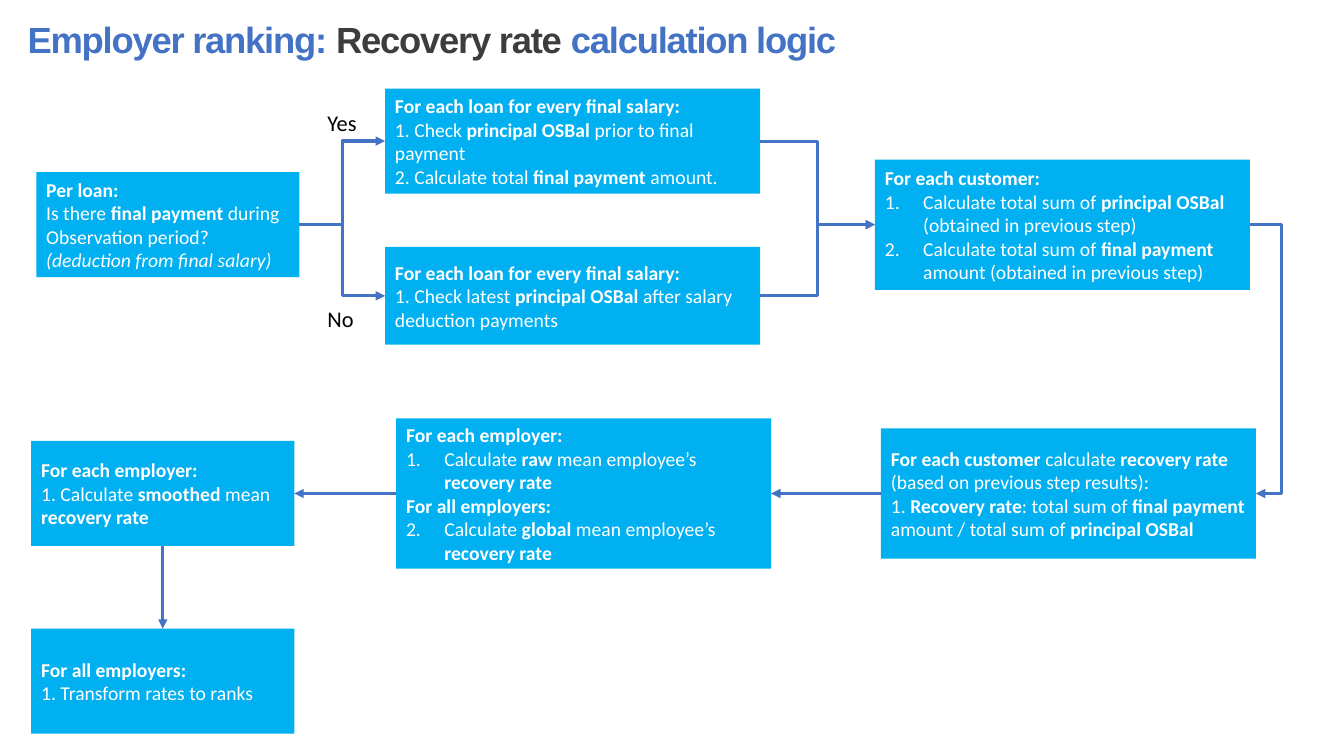
from dataclasses import dataclass

from lxml import etree
from pptx import Presentation
from pptx.dml.color import RGBColor
from pptx.enum.shapes import MSO_CONNECTOR, MSO_SHAPE
from pptx.enum.text import MSO_ANCHOR, PP_ALIGN
from pptx.oxml.ns import qn
from pptx.shapes.autoshape import Shape
from pptx.slide import Slide
from pptx.text.text import TextFrame, _Paragraph
from pptx.util import Inches, Pt

STRAIGHT = MSO_CONNECTOR.STRAIGHT
ELBOW = MSO_CONNECTOR.ELBOW
RECTANGLE = MSO_SHAPE.RECTANGLE
MIDDLE = MSO_ANCHOR.MIDDLE
TOP = MSO_ANCHOR.TOP
LEFT = PP_ALIGN.LEFT

BLUE = RGBColor(0x44, 0x72, 0xC4)
CYAN = RGBColor(0x00, 0xB0, 0xF0)
CHARCOAL = RGBColor(0x3D, 0x3D, 0x3D)
WHITE = RGBColor(0xFF, 0xFF, 0xFF)
BLACK = RGBColor(0x00, 0x00, 0x00)

SLIDE_WIDTH = Inches(13.333)
SLIDE_HEIGHT = Inches(7.5)
COLUMN = SLIDE_WIDTH / 160
ROW = SLIDE_HEIGHT / 90

TOP_SIDE, LEFT_SIDE, BOTTOM_SIDE, RIGHT_SIDE = range(4)
WIDE, NARROW = 44.64, 31.32
YES_ROW, FIRST_ROW, NO_ROW, SECOND_ROW, LAST_ROW = 16.8, 26.75, 35.22, 58.75, 81.1
LIST_INDENT = Inches(0.38)


@dataclass(frozen=True)
class Line:
    text: str
    number: int = 0
    italic: bool = False


@dataclass(frozen=True)
class Step:
    name: str
    left: float
    middle: float
    width: float
    height: float
    lines: tuple[Line, ...]


@dataclass(frozen=True)
class Arrow:
    source: str
    source_side: int
    target: str
    target_side: int
    kind: MSO_CONNECTOR = STRAIGHT
    bend: float = 0.5


@dataclass(frozen=True)
class Label:
    text: str
    top: float


STEPS = (
    Step("loan", 4.32, FIRST_ROW, NARROW, 12.5, (
        Line("*Per loan:*"),
        Line("Is there *final payment *during Observation period?"),
        Line("(deduction from final salary)", italic=True),
    )),
    Step("yes", 45.84, YES_ROW, WIDE, 12.5, (
        Line("*For each loan for every final salary:*\n"
             "1. Check *principal OSBal *prior to final payment"),
        Line("2. Calculate total *final payment *amount."),
    )),
    Step("no", 45.84, NO_ROW, WIDE, 11.64, (
        Line("*For each loan for every final salary:*\n"
             "1. Check latest *principal OSBal *after salary deduction payments"),
    )),
    Step("customer", 104.16, FIRST_ROW, WIDE, 15.5, (
        Line("*For each customer:*"),
        Line("Calculate total sum of *principal OSBal *(obtained in previous step)", 1),
        Line("Calculate total sum of *final payment* amount (obtained in previous step)", 1),
    )),
    Step("rate", 104.88, SECOND_ROW, WIDE, 15.5, (
        Line("*For each customer *calculate *recovery rate *(based on previous step results):"),
        Line("1. *Recovery rate*: total sum of *final payment *amount / "
             "total sum of *principal OSBal*"),
    )),
    Step("employer", 47.16, SECOND_ROW, WIDE, 17.9, (
        Line("*For each employer:*"),
        Line("Calculate *raw* mean employee’s *recovery rate*", 1),
        Line("*For all employers:*"),
        Line("Calculate *global* mean employee’s *recovery rate*", 2),
    )),
    Step("smoothed", 3.72, SECOND_ROW, NARROW, 12.5, (
        Line("*For each employer:*"),
        Line("1. Calculate *smoothed* mean *recovery rate*"),
    )),
    Step("ranks", 3.72, LAST_ROW, NARROW, 12.5, (
        Line("*For all employers:*"),
        Line("1. Transform rates to ranks"),
    )),
)

ARROWS = (
    Arrow("loan", RIGHT_SIDE, "yes", LEFT_SIDE, ELBOW),
    Arrow("loan", RIGHT_SIDE, "no", LEFT_SIDE, ELBOW),
    Arrow("yes", RIGHT_SIDE, "customer", LEFT_SIDE, ELBOW),
    Arrow("no", RIGHT_SIDE, "customer", LEFT_SIDE, ELBOW),
    Arrow("customer", RIGHT_SIDE, "rate", RIGHT_SIDE, ELBOW, 5.2),
    Arrow("rate", LEFT_SIDE, "employer", RIGHT_SIDE),
    Arrow("employer", LEFT_SIDE, "smoothed", RIGHT_SIDE),
    Arrow("smoothed", BOTTOM_SIDE, "ranks", TOP_SIDE),
)

LABELS = (Label("Yes", 12.4), Label("No", 35.7))


def add_number(para: _Paragraph, start: int) -> None:
    properties = para._p.get_or_add_pPr()
    properties.set("marL", str(LIST_INDENT))
    properties.set("indent", str(-LIST_INDENT))
    number = etree.SubElement(properties, qn("a:buAutoNum"), type="arabicPeriod")
    if start > 1:
        number.set("startAt", str(start))


def write_line(para: _Paragraph, line: Line) -> None:
    para.alignment = LEFT
    if line.number:
        add_number(para, line.number)
    for index, part in enumerate(line.text.split("*")):
        if part.startswith("\n"):
            para.add_line_break()
        if part:
            span = para.add_run()
            span.text = part.lstrip("\n")
            span.font.name = "Calibri"
            span.font.size = Pt(14)
            span.font.bold = index % 2 == 1
            span.font.italic = line.italic
            span.font.color.rgb = WHITE


def draw_step(page: Slide, step: Step) -> Shape:
    top = step.middle - step.height / 2
    box = page.shapes.add_shape(
        RECTANGLE, round(step.left * COLUMN), round(top * ROW),
        round(step.width * COLUMN), round(step.height * ROW))
    box.shadow.inherit = False
    box.fill.solid()
    box.fill.fore_color.rgb = CYAN
    box.line.fill.background()
    frame = box.text_frame
    frame.word_wrap = True
    frame.vertical_anchor = MIDDLE
    for index, line in enumerate(step.lines):
        write_line(frame.add_paragraph() if index else frame.paragraphs[0], line)
    return box


def draw_arrow(page: Slide, arrow: Arrow, boxes: dict[str, Shape]) -> None:
    connector = page.shapes.add_connector(arrow.kind, 0, 0, 0, 0)
    connector.begin_connect(boxes[arrow.source], arrow.source_side)
    connector.end_connect(boxes[arrow.target], arrow.target_side)
    connector.line.color.rgb = BLUE
    connector.line.width = Pt(2.25)
    properties = connector._element.spPr
    etree.SubElement(properties.find(qn("a:ln")), qn("a:tailEnd"), type="triangle")
    etree.SubElement(properties, qn("a:effectLst"))
    if arrow.kind == ELBOW:
        guides = properties.find(qn("a:prstGeom")).get_or_add_avLst()
        etree.SubElement(guides, qn("a:gd"), name="adj1",
                         fmla=f"val {round(arrow.bend * 100000)}")


def add_text_area(page: Slide, left: float, top: float, width: float, height: float) -> TextFrame:
    box = page.shapes.add_textbox(
        round(left * COLUMN), round(top * ROW), round(width * COLUMN), round(height * ROW))
    box.text_frame.word_wrap = True
    box.text_frame.vertical_anchor = TOP
    return box.text_frame


def draw_label(page: Slide, label: Label) -> None:
    frame = add_text_area(page, 37.8, label.top, 6.5, 4.4)
    frame.text = label.text
    font = frame.paragraphs[0].runs[0].font
    font.name = "Calibri"
    font.size = Pt(16)
    font.color.rgb = BLACK


def draw_title(page: Slide) -> None:
    para = add_text_area(page, 2.1, 1.45, 152.4, 6.5).paragraphs[0]
    for text, color in (("Employer ranking: ", BLUE), ("Recovery rate", CHARCOAL),
                        (" calculation logic", BLUE)):
        span = para.add_run()
        span.text = text
        span.font.name = "Arial"
        span.font.size = Pt(26)
        span.font.bold = True
        span.font.color.rgb = color
        span._r.get_or_add_rPr().set("spc", "-90")


def main() -> None:
    deck = Presentation()
    deck.slide_width = SLIDE_WIDTH
    deck.slide_height = SLIDE_HEIGHT
    page = deck.slides.add_slide(deck.slide_layouts[6])
    draw_title(page)
    boxes = {step.name: draw_step(page, step) for step in STEPS}
    for arrow in ARROWS:
        draw_arrow(page, arrow, boxes)
    for label in LABELS:
        draw_label(page, label)
    deck.save("out.pptx")


if __name__ == "__main__":
    main()
